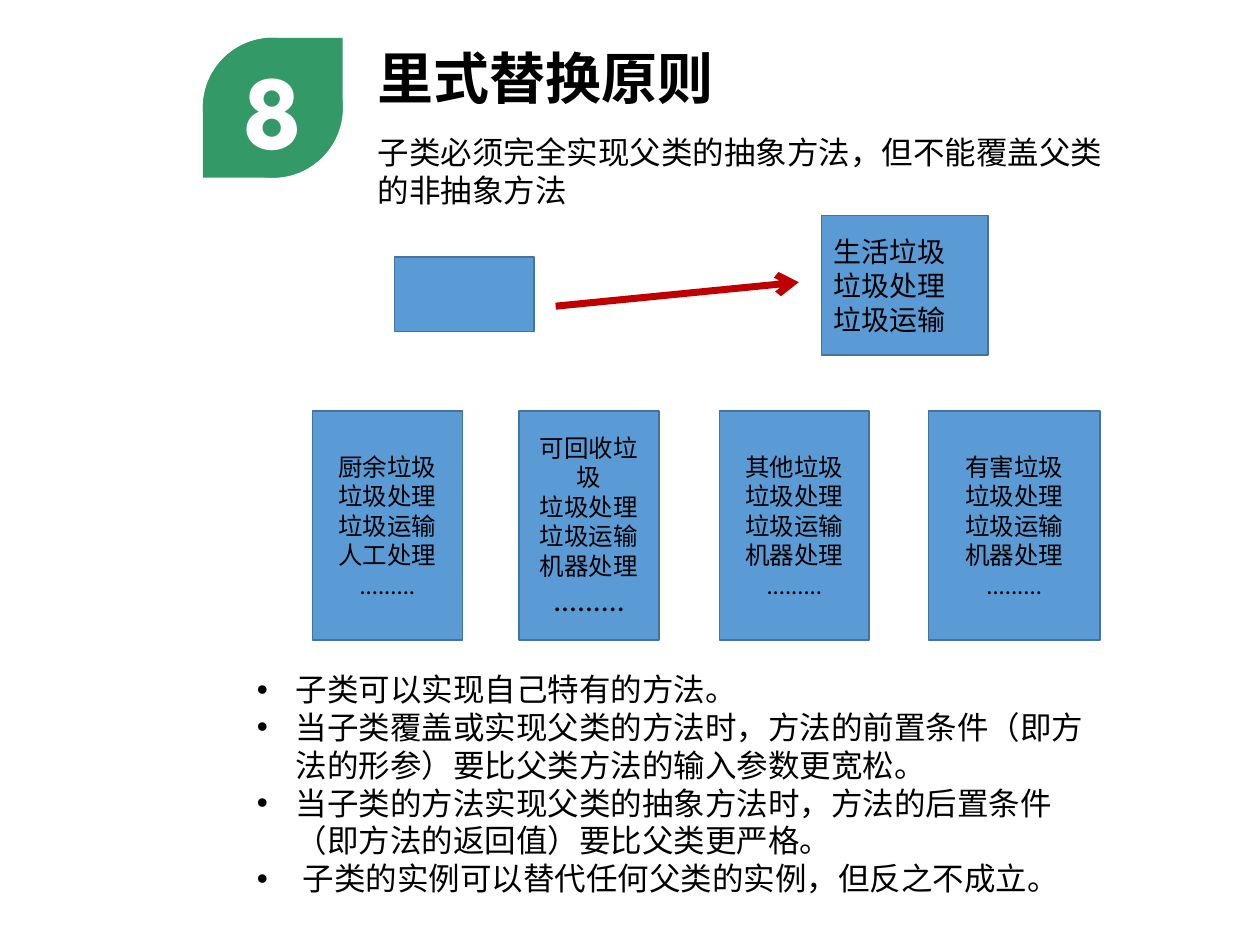
from lxml.etree import SubElement
from pptx import Presentation
from pptx.dml.color import RGBColor
from pptx.enum.shapes import MSO_CONNECTOR as CONN, MSO_SHAPE as SHAPE
from pptx.enum.text import MSO_ANCHOR as ANCHOR, PP_ALIGN as ALIGN
from pptx.oxml.ns import qn
from pptx.util import Inches, Pt

COLS, ROWS = 100, 75
W, H = Inches(10), Inches(7.5)
COLORS = {"leaf": "339966", "box": "5B9BD5", "edge": "43739E",
          "arrow": "C00000", "ink": "000000", "paper": "FFFFFF"}
CJK = "Noto Sans CJK SC"
DUTIES = ["垃圾处理", "垃圾运输"]
DOTS = "........."
CARDS = [(0, 11.9, "厨余垃圾", "人工处理", 14),
         (16.4, 11.1, "可回收垃圾", "机器处理", 18),
         (32.3, 11.9, "其他垃圾", "机器处理", 14),
         (48.9, 13.6, "有害垃圾", "机器处理", 14)]
RULES = ["子类可以实现自己特有的方法。",
         "当子类覆盖或实现父类的方法时，方法的前置条件（即方法的形参）要比父类方法的输入参数更宽松。",
         "当子类的方法实现父类的抽象方法时，方法的后置条件（即方法的返回值）要比父类更严格。",
         " 子类的实例可以替代任何父类的实例，但反之不成立。"]


def rgb(name):
    return RGBColor.from_string(COLORS[name])


def col(n):
    return int(W * n / COLS)


def row(n):
    return int(H * n / ROWS)


def place(box):
    x, y, w, h = box
    return col(x), row(y), col(w), row(h)


def write(sp, lines, size=18, name=CJK, color="ink", bold=False,
          align=ALIGN.LEFT, anchor=ANCHOR.TOP, wrap=True):
    tf = sp.text_frame
    tf.word_wrap, tf.vertical_anchor = wrap, anchor
    tf.text = "\n".join(lines)
    fmt = {"size": Pt(size), "name": name, "bold": bold}
    for p in tf.paragraphs:
        p.alignment = align
        for r in p.runs:
            for key, value in fmt.items():
                setattr(r.font, key, value)
            r.font.color.rgb = rgb(color)
            SubElement(r.font._element, qn("a:ea"), typeface=CJK)
    return tf


def add_shape(slide, kind, box, fill, edge=None):
    sp = slide.shapes.add_shape(kind, *place(box))
    sp.shadow.inherit = False
    sp.fill.solid()
    sp.fill.fore_color.rgb = rgb(fill)
    if edge:
        sp.line.color.rgb = rgb(edge)
        sp.line.width = Pt(1)
    else:
        sp.line.fill.background()
    return sp


def add_text(slide, box, lines, **fmt):
    return write(slide.shapes.add_textbox(*place(box)), lines, **fmt)


def add_box(slide, box):
    return add_shape(slide, SHAPE.RECTANGLE, box, "box", "edge")


def add_header(slide, box):
    x, y, w, h = box
    side, indent = 11.1, 12.9
    for angle in (180, 0):
        sp = add_shape(slide, SHAPE.TEAR, (x, y, side, side), "leaf")
        sp.rotation = angle
    write(sp, ["8"], size=60, name="League Spartan", color="paper",
          bold=True, align=ALIGN.CENTER, anchor=ANCHOR.MIDDLE)
    add_text(slide, (x + indent, y + h / 2, w - indent, h / 2),
             ["子类必须完全实现父类的抽象方法，但不能覆盖父类的非抽象方法"])
    add_text(slide, (x + indent, y, 28.7, 6.4), ["里式替换原则"],
             size=32, name="Arial", bold=True, wrap=False)


def add_cards(slide, box):
    x, y, _, h = box
    for left, width, kind, method, dot_size in CARDS:
        sp = add_box(slide, (x + left, y, width, h))
        tf = write(sp, [kind, *DUTIES, method, DOTS], size=14, name="Calibri",
                   align=ALIGN.CENTER, anchor=ANCHOR.MIDDLE)
        tf.paragraphs[-1].runs[0].font.size = Pt(dot_size)


def add_arrow(slide, start, end):
    cn = slide.shapes.add_connector(CONN.STRAIGHT, col(start[0]), row(start[1]),
                                    col(end[0]), row(end[1]))
    cn.line.color.rgb = rgb("arrow")
    cn.line.width = Pt(4)
    SubElement(cn.line._get_or_add_ln(), qn("a:tailEnd"), type="arrow")
    SubElement(cn._element.spPr, qn("a:effectLst"))


def add_parent(slide, box):
    x, y, w, h = box
    add_box(slide, (x, y + 3.3, 11.1, 5.9))
    sp = add_box(slide, (x + w - 13.2, y, 13.2, h))
    write(sp, ["生活垃圾", *DUTIES], size=16, anchor=ANCHOR.MIDDLE)
    add_arrow(slide, (x + 12.8, y + 7.2), (x + 32.1, y + 5.3))


def add_rules(slide, box):
    tf = add_text(slide, box, RULES)
    indent = Inches(0.31)
    for p in tf.paragraphs:
        pPr = p._p.get_or_add_pPr()
        pPr.set("marL", str(indent))
        pPr.set("indent", str(-indent))
        SubElement(pPr, qn("a:buFont"), typeface="Arial")
        SubElement(pPr, qn("a:buChar"), char="•")


def main():
    prs = Presentation()
    prs.slide_width, prs.slide_height = W, H
    slide = prs.slides.add_slide(prs.slide_layouts[6])
    add_header(slide, (16.1, 3, 73.3, 14.2))
    add_cards(slide, (24.8, 32.6, 62.5, 18.2))
    add_parent(slide, (31.3, 17.1, 47.1, 11.1))
    add_rules(slide, (19.4, 52.7, 69.9, 19.2))
    prs.save("out.pptx")


if __name__ == "__main__":
    main()
